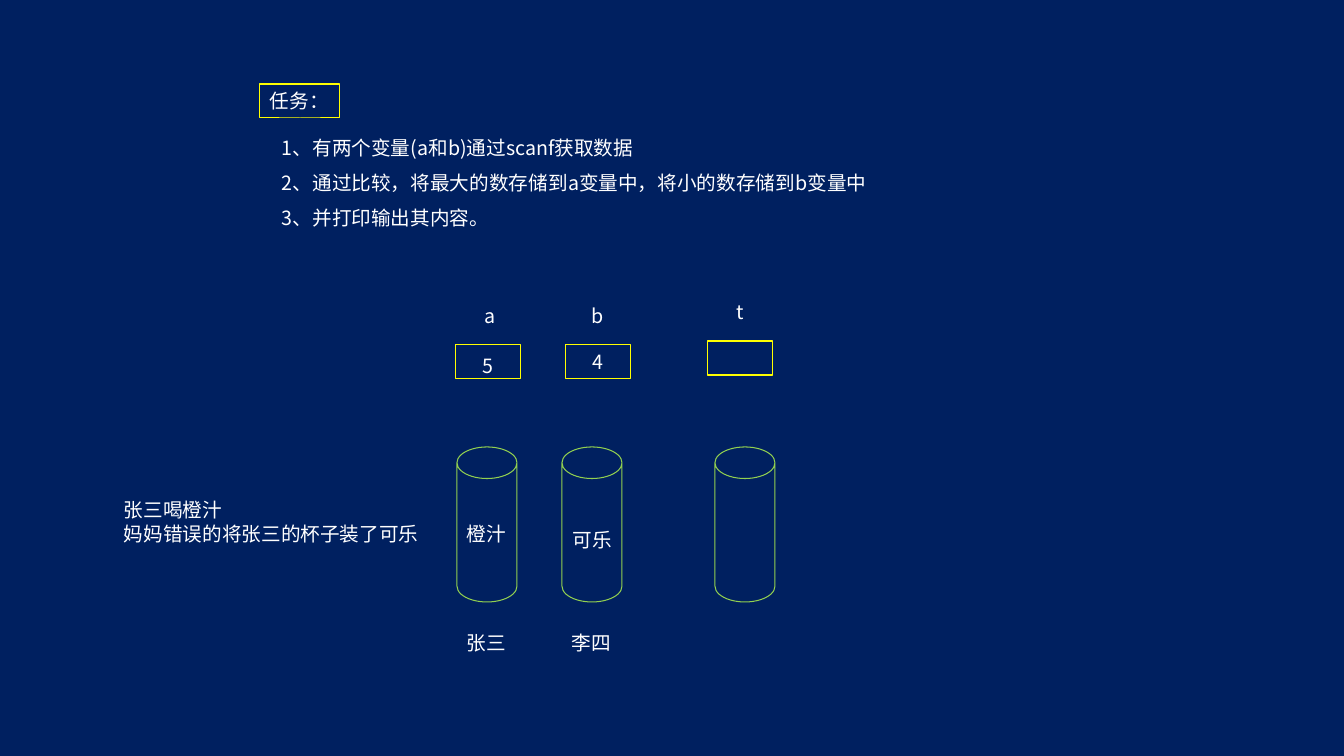
from lxml import etree
from pptx import Presentation
from pptx.dml.color import RGBColor
from pptx.enum.shapes import MSO_SHAPE
from pptx.enum.text import MSO_ANCHOR, MSO_AUTO_SIZE, PP_ALIGN
from pptx.oxml.ns import qn
from pptx.util import Emu, Pt

RECT, CAN = MSO_SHAPE.RECTANGLE, MSO_SHAPE.CAN
LEFT, TOP = PP_ALIGN.LEFT, MSO_ANCHOR.TOP
GROW = MSO_AUTO_SIZE.SHAPE_TO_FIT_TEXT

THEME = {
    "back": RGBColor(0x00, 0x20, 0x60),
    "text": RGBColor(0xFF, 0xFF, 0xFF),
    "box": RGBColor(0xFF, 0xFF, 0x00),
    "cup": RGBColor(0x92, 0xD0, 0x50),
    "font": "Noto Sans CJK SC",
    "size": Pt(14),
    "line": Pt(0.75),
}
PX = 914400 / 100.8  # EMU in one px

deck = Presentation()
deck.slide_width, deck.slide_height = Emu(round(1344 * PX)), Emu(round(756 * PX))
slide = deck.slides.add_slide(deck.slide_layouts[6])
slide.background.fill.solid()
slide.background.fill.fore_color.rgb = THEME["back"]


def outline(kind, color, *area):
    shape = slide.shapes.add_shape(kind, *[Emu(round(v * PX)) for v in area])
    shape.shadow.inherit = False
    shape.fill.background()
    shape.line.color.rgb = color
    shape.line.width = THEME["line"]
    return shape


def write(text, area=None, shape=None, wrap=False, space=None):
    if shape is None:
        shape = slide.shapes.add_textbox(*[Emu(round(v * PX)) for v in area])
    frame = shape.text_frame
    frame.word_wrap = wrap
    frame.auto_size = GROW
    frame.vertical_anchor = TOP
    frame.text = text
    for para in frame.paragraphs:
        para.alignment = LEFT
        if space:
            para.line_spacing = space
        for run in para.runs:
            run.font.size = THEME["size"]
            run.font.color.rgb = THEME["text"]
            run.font.name = THEME["font"]
            asian = etree.SubElement(run._r.get_or_add_rPr(), qn("a:ea"))
            asian.set("typeface", THEME["font"])


# Task heading and steps
head = outline(RECT, THEME["box"], 260, 84, 80, 34)
write("任务：", shape=head)
steps = [
    "1、有两个变量(a和b)通过scanf获取数据",
    "2、通过比较，将最大的数存储到a变量中，将小的数存储到b变量中",
    "3、并打印输出其内容。",
]
write("\n".join(steps), area=(272, 119, 610, 113), wrap=True, space=1.5)

# Variables: name, name left, box left, box top
for name, left, box, top in [
    ("a", 475, 456, 345),
    ("b", 582, 566, 345),
    ("t", 727, 708, 341),
]:
    write(name, area=(left, top - 46, 32, 34))
    outline(RECT, THEME["box"], box, top, 65, 34)

# Stored values
write("5", area=(473, 349, 32, 34))
write("4", area=(583, 345, 32, 34), wrap=True)

# Cups
for left in (457, 562, 715):
    cup = outline(CAN, THEME["cup"], left, 447, 60, 155)
    cup.adjustments[0] = 0.526

# Drinks and owners
for text, left, top in [
    ("橙汁", 457, 517),
    ("可乐", 563, 523),
    ("张三", 457, 626),
    ("李四", 562, 626),
]:
    write(text, area=(left, top, 60, 34))

# Story
write("张三喝橙汁\n妈妈错误的将张三的杯子装了可乐", area=(114, 493, 320, 57))

deck.save("out.pptx")
